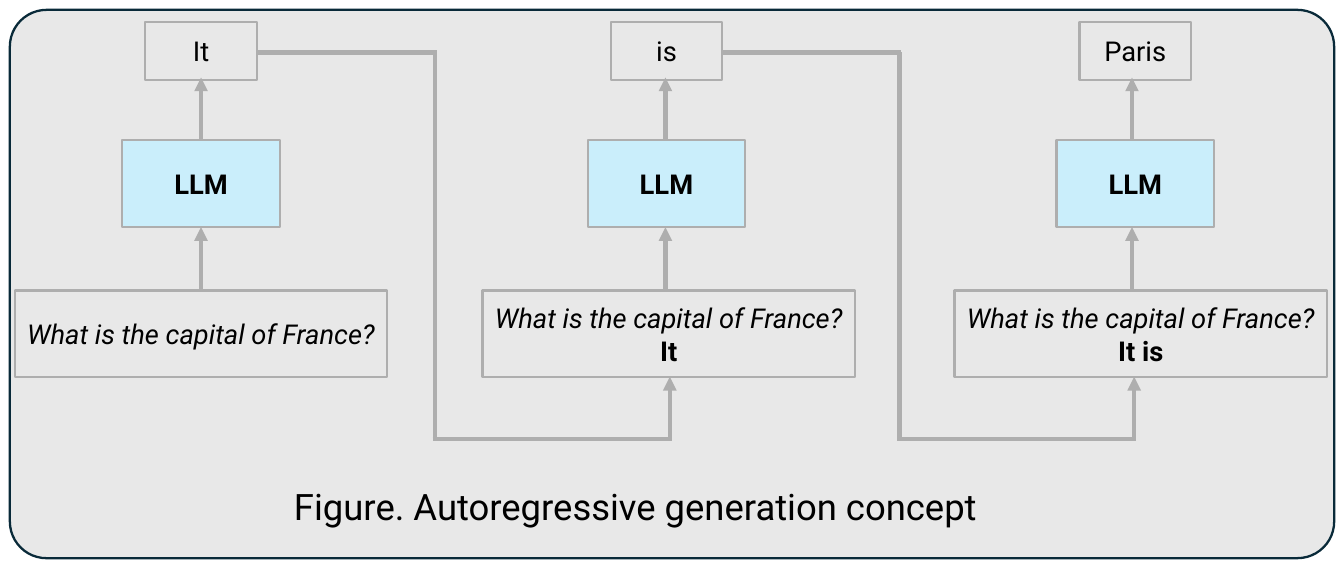
"""Build a slide that shows the autoregressive generation loop of an LLM."""
from lxml.etree import SubElement
from pptx import Presentation
from pptx.dml.color import RGBColor
from pptx.enum.shapes import MSO_CONNECTOR as Line, MSO_SHAPE as Shape
from pptx.enum.text import MSO_ANCHOR as Anchor, MSO_AUTO_SIZE as AutoSize, PP_ALIGN as Align
from pptx.oxml.ns import qn
from pptx.util import Inches, Pt

WIDTH, HEIGHT = 12.3, 5.2
FONT, GRAY = "Roboto", "AEAEAE"
QUESTION = "What is the capital of France?"
PITCH = 4.25
TOKEN_Y, TOKEN_W, TOKEN_H = 0.2, 1.02, 0.53
LLM_Y, LLM_W, LLM_H = 1.28, 1.44, 0.8
PROMPT_Y, PROMPT_W, PROMPT_H = 2.66, 3.41, 0.79
EXIT_Y, RETURN_Y = 0.48, 4.02
STEPS = [
    (1.84, 1.84, 1.84, "", "It"),
    (6.1, 6.09, 6.12, "It", "is"),
    (10.39, 10.36, 10.44, "It is", "Paris"),
]


def color(value):
    """Turn a hex string into a colour."""
    return RGBColor.from_string(value)


def write(sp, lines, size=18):
    """Set centred lines, each given as text, bold and italic."""
    tf = sp.text_frame
    tf.text = "\n".join(text for text, _, _ in lines)
    tf.word_wrap = True
    tf.auto_size = AutoSize.NONE
    tf.vertical_anchor = Anchor.MIDDLE
    tf.margin_left = tf.margin_right = Inches(0.05)
    for p, (_, bold, italic) in zip(tf.paragraphs, lines):
        p.alignment = Align.CENTER
        for r in p.runs:
            r.font.name, r.font.size = FONT, Pt(size)
            r.font.bold, r.font.italic = bold, italic
            r.font.color.rgb = color("000000")


def add_box(slide, x, y, w, h, fill=None, line=GRAY, kind=Shape.RECTANGLE):
    """Add an outlined box centred on x, with an optional fill."""
    sp = slide.shapes.add_shape(kind, Inches(x - w / 2), Inches(y), Inches(w), Inches(h))
    sp.shadow.inherit = False
    if fill:
        sp.fill.solid()
        sp.fill.fore_color.rgb = color(fill)
    else:
        sp.fill.background()
    sp.line.color.rgb = color(line)
    sp.line.width = Pt(1.5)
    return sp


def add_line(slide, start, end, arrow=False):
    """Add a thick straight line, with an arrowhead at its end if asked."""
    points = [Inches(v) for v in (*start, *end)]
    cxn = slide.shapes.add_connector(Line.STRAIGHT, *points)
    cxn.line.color.rgb = color(GRAY)
    cxn.line.width = Pt(3)
    if arrow:
        SubElement(cxn.line._get_or_add_ln(), qn("a:tailEnd"), type="triangle")
    SubElement(cxn._element.spPr, qn("a:effectLst"))


def add_step(slide, x, arrow_x, prompt_x, context, token):
    """Add one column: prompt, model, generated token and the arrows between."""
    prompt = [(QUESTION, False, True)] + ([(context, True, False)] if context else [])
    write(add_box(slide, prompt_x, PROMPT_Y, PROMPT_W, PROMPT_H), prompt)
    write(add_box(slide, x, TOKEN_Y, TOKEN_W, TOKEN_H), [(token, False, False)])
    write(add_box(slide, x, LLM_Y, LLM_W, LLM_H, "CAEEFB"), [("LLM", True, False)])
    for bottom, top in ((PROMPT_Y, LLM_Y + LLM_H), (LLM_Y, TOKEN_Y + TOKEN_H - 0.02)):
        add_line(slide, (arrow_x, bottom), (arrow_x, top), arrow=True)


def add_feedback(slide, index):
    """Route a generated token into the prompt of the next step."""
    start = STEPS[index][0] + TOKEN_W / 2
    turn, target = 3.98 + index * PITCH, 6.13 + index * PITCH
    half = 0.02
    add_line(slide, (start, EXIT_Y), (turn + half, EXIT_Y))
    add_line(slide, (turn, EXIT_Y), (turn, RETURN_Y))
    add_line(slide, (turn - half, RETURN_Y), (target + half, RETURN_Y))
    add_line(slide, (target, RETURN_Y), (target, PROMPT_Y + PROMPT_H), arrow=True)


def add_caption(slide, text):
    """Use the title placeholder as the caption, in front of the panel."""
    sp = slide.shapes.title
    sp.left, sp.top, sp.width, sp.height = map(Inches, (2.27, 4.24, 7.09, 0.79))
    write(sp, [(text, False, False)], size=24)
    slide.shapes._spTree.append(sp._element)


def main():
    """Build and save the slide."""
    prs = Presentation()
    prs.slide_width, prs.slide_height = Inches(WIDTH), Inches(HEIGHT)
    slide = prs.slides.add_slide(prs.slide_layouts[5])
    panel = add_box(slide, WIDTH / 2, 0.09, 12.12, 5.02, "E8E8E8", "092A39",
                    Shape.ROUNDED_RECTANGLE)
    panel.adjustments[0] = 0.067
    for step in STEPS:
        add_step(slide, *step)
    for index in range(len(STEPS) - 1):
        add_feedback(slide, index)
    add_caption(slide, "Figure. Autoregressive generation concept")
    prs.save("out.pptx")


if __name__ == "__main__":
    main()
